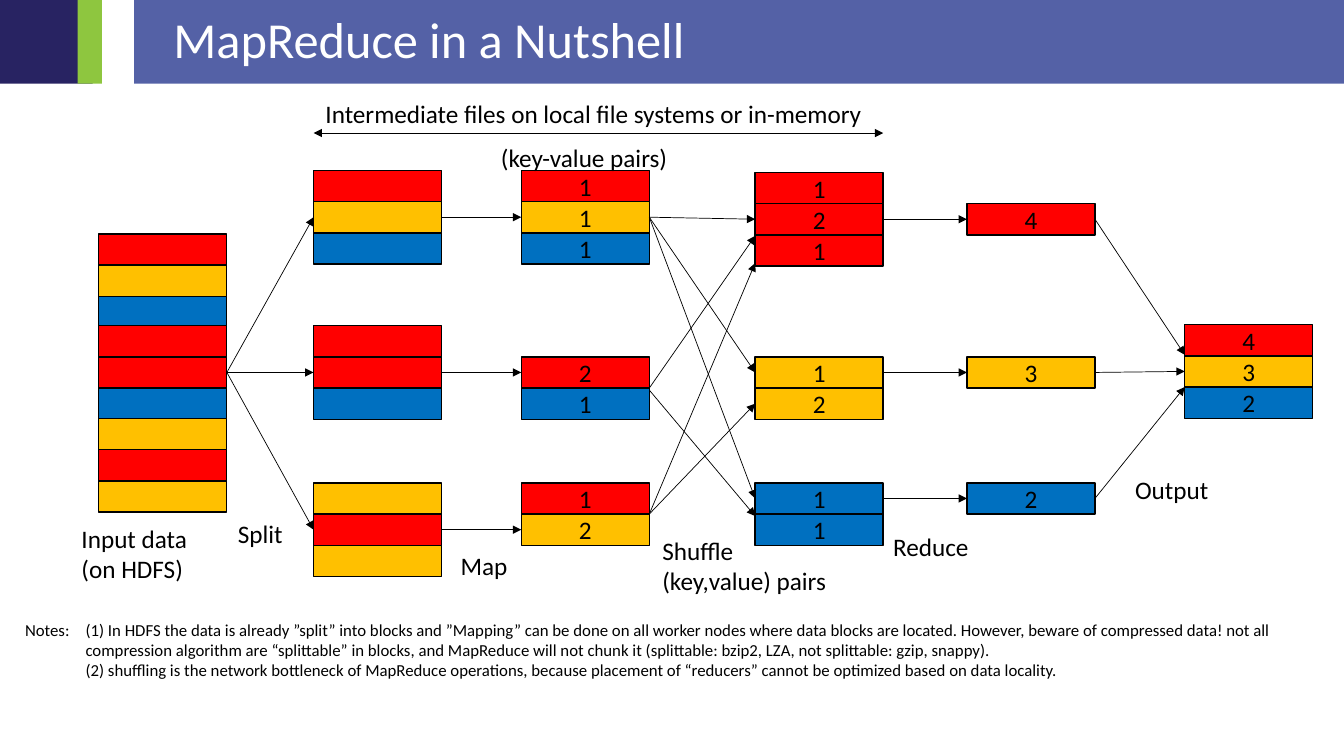
"""Build a slide that walks through the stages of a MapReduce job."""
import dataclasses

import lxml.etree
import pptx
import pptx.dml.color
import pptx.enum.shapes
import pptx.enum.text
import pptx.oxml.ns
import pptx.util


@dataclasses.dataclass(frozen=True)
class Theme:
    """Colours, font and type sizes of the slide."""
    font: str = "Calibri"
    title_size: int = 36
    label_size: int = 18
    note_size: int = 12
    ink: str = "000000"
    paper: str = "FFFFFF"
    band: str = "5461A6"
    navy: str = "282362"
    green: str = "8EC63F"
    red: str = "FF0000"
    yellow: str = "FFC000"
    blue: str = "0070C0"


class Page:
    """Draws themed elements on one slide, measured in px."""
    SCALE = 9144
    ROW_WIDTH = 127
    ROW_HEIGHT = 31

    def __init__(self, deck, theme):
        """Add a blank slide to the deck."""
        self.theme = theme
        self.shapes = deck.slides.add_slide(deck.slide_layouts[6]).shapes

    @classmethod
    def px(cls, *lengths):
        """Turn px into EMU."""
        return [pptx.util.Emu(length * cls.SCALE) for length in lengths]

    def style(self, paragraph, size, colour):
        """Set the font of a paragraph."""
        paragraph.font.name = self.theme.font
        paragraph.font.size = pptx.util.Pt(size)
        paragraph.font.color.rgb = pptx.dml.color.RGBColor.from_string(colour)

    def rectangle(self, left, top, width, height, colour, outlined=False):
        """Draw a filled rectangle."""
        kind = pptx.enum.shapes.MSO_SHAPE.RECTANGLE
        box = self.shapes.add_shape(kind, *self.px(left, top, width, height))
        box.shadow.inherit = False
        box.fill.solid()
        box.fill.fore_color.rgb = pptx.dml.color.RGBColor.from_string(colour)
        if outlined:
            box.line.width = pptx.util.Pt(1)
            box.line.color.rgb = pptx.dml.color.RGBColor.from_string(self.theme.ink)
        else:
            box.line.fill.background()
        return box

    def stack(self, left, top, colours, values=""):
        """Draw adjoining data rows and return them from top to bottom."""
        rows = []
        for index, colour in enumerate(colours):
            row = self.rectangle(left, top + index * self.ROW_HEIGHT,
                                 self.ROW_WIDTH, self.ROW_HEIGHT, colour, True)
            if values:
                paragraph = row.text_frame.paragraphs[0]
                paragraph.text = values[index]
                paragraph.alignment = pptx.enum.text.PP_ALIGN.CENTER
                self.style(paragraph, self.theme.label_size, self.theme.ink)
            rows.append(row)
        return rows

    def text(self, left, top, width, height, lines, size, colour, wrap=False):
        """Write paragraphs in a text box and return its frame."""
        box = self.shapes.add_textbox(*self.px(left, top, width, height))
        frame = box.text_frame
        frame.word_wrap = wrap
        frame.auto_size = pptx.enum.text.MSO_AUTO_SIZE.SHAPE_TO_FIT_TEXT
        for index, line in enumerate(lines):
            paragraph = frame.add_paragraph() if index else frame.paragraphs[0]
            paragraph.text = line
            self.style(paragraph, size, colour)
        return frame

    def title(self, left, top, width, height, words):
        """Write the slide title in the header band."""
        frame = self.text(left, top, width, height, [words],
                          self.theme.title_size, self.theme.paper, True)
        frame.auto_size = pptx.enum.text.MSO_AUTO_SIZE.NONE
        frame.margin_left = self.px(39)[0]
        frame.vertical_anchor = pptx.enum.text.MSO_ANCHOR.MIDDLE
        frame.paragraphs[0].line_spacing = 0.9

    def label(self, left, top, width, height, *lines):
        """Write a caption beside the diagram."""
        self.text(left, top, width, height, lines, self.theme.label_size, self.theme.ink)

    def notes(self, left, top, width, height, indent, *lines):
        """Write small paragraphs with a hanging indent."""
        frame = self.text(left, top, width, height, lines,
                          self.theme.note_size, self.theme.ink, True)
        hang = self.px(indent)[0]
        for paragraph in frame.paragraphs:
            properties = paragraph._p.get_or_add_pPr()
            properties.set("marL", str(hang))
            properties.set("indent", str(-hang))

    def arrow(self, start, end, heads=("tailEnd",)):
        """Draw an arrow between points or the facing sides of rows."""
        points = [place if isinstance(place, tuple) else (0, 0) for place in (start, end)]
        kind = pptx.enum.shapes.MSO_CONNECTOR.STRAIGHT
        line = self.shapes.add_connector(kind, *self.px(*points[0], *points[1]))
        if not isinstance(start, tuple):
            line.begin_connect(start, 3)
        if not isinstance(end, tuple):
            line.end_connect(end, 1)
        line.line.width = pptx.util.Pt(0.5)
        line.line.color.rgb = pptx.dml.color.RGBColor.from_string(self.theme.ink)
        qualify = pptx.oxml.ns.qn
        properties = line._element.spPr
        for head in heads:
            lxml.etree.SubElement(properties.find(qualify("a:ln")),
                                  qualify(f"a:{head}"), type="triangle")
        lxml.etree.SubElement(properties, qualify("a:effectLst"))


def main():
    """Lay out the stages from input to output and save the deck."""
    deck = pptx.Presentation()
    deck.slide_width, deck.slide_height = Page.px(1333, 750)
    theme = Theme()
    page = Page(deck, theme)
    red, yellow, blue = theme.red, theme.yellow, theme.blue

    page.rectangle(133, 0, 1200, 83, theme.band)
    page.rectangle(0, 0, 92, 83, theme.navy)
    page.rectangle(77, 0, 24, 83, theme.green)
    page.title(133, 0, 1200, 83, "MapReduce in a Nutshell")

    blocks = [(red, yellow, blue), (red, red, blue), (yellow, red, yellow)]
    inputs = [page.stack(98, top, block) for top, block in zip((232, 323, 415), blocks)]
    splits = [page.stack(311, top, block) for top, block in zip((169, 323, 479), blocks)]
    maps = [page.stack(517, 169, (red, yellow, blue), "111"),
            page.stack(517, 354, (red, blue), "21"),
            page.stack(517, 479, (red, yellow), "12")]
    reds = page.stack(749, 171, [red] * 3, "121")
    yellows = page.stack(749, 354, [yellow] * 2, "12")
    blues = page.stack(749, 479, [blue] * 2, "11")
    totals = [page.stack(959, top, [colour], value)[0] for top, colour, value in
              ((202, red, "4"), (354, yellow, "3"), (479, blue, "2"))]
    output = page.stack(1175, 322, (red, yellow, blue), "432")

    for split, mapped in zip(splits, (maps[0][1], maps[1][0], maps[2][1])):
        page.arrow(inputs[1][1], split[1])
        page.arrow(split[1], mapped)
    shuffles = [(maps[0][1], yellows[0]), (maps[0][1], blues[0]), (maps[0][1], reds[1]),
                ((644, 385), (749, 234)), ((644, 387), (749, 512)),
                ((644, 510), (749, 261)), ((644, 510), yellows[1])]
    reductions = zip((reds[1], yellows[0], blues[0]), totals)
    results = zip(totals, ((1175, 352), output[1], (1175, 384)))
    for start, end in [*shuffles, *reductions, *results]:
        page.arrow(start, end)
    page.arrow((311, 132), (876, 132), ("headEnd", "tailEnd"))

    page.label(226, 509, 65, 40, "Split")
    page.label(71, 514, 128, 71, "Input data\v(on HDFS)")
    page.label(447, 541, 67, 40, "Map")
    page.label(647, 526, 185, 71, "Shuffle", "(key,value) pairs")
    page.label(876, 522, 96, 40, "Reduce")
    page.label(1116, 466, 94, 40, "Output")
    page.label(487, 136, 187, 40, "(key-value pairs)")
    page.label(313, 93, 563, 40, "Intermediate files on local file systems or in-memory")
    page.notes(
        15, 610, 1287, 71, 60,
        "Notes:\t(1) In HDFS the data is already ”split” into blocks and ”Mapping” can be done "
        "on all worker nodes where data blocks are located. However, beware of compressed data! "
        "not all compression algorithm are “splittable” in blocks, and MapReduce will not chunk "
        "it (splittable: bzip2, LZA, not splittable: gzip, snappy).",
        "\t(2) shuffling is the network bottleneck of MapReduce operations, because placement "
        "of “reducers” cannot be optimized based on data locality.")
    deck.save("out.pptx")


if __name__ == "__main__":
    main()
